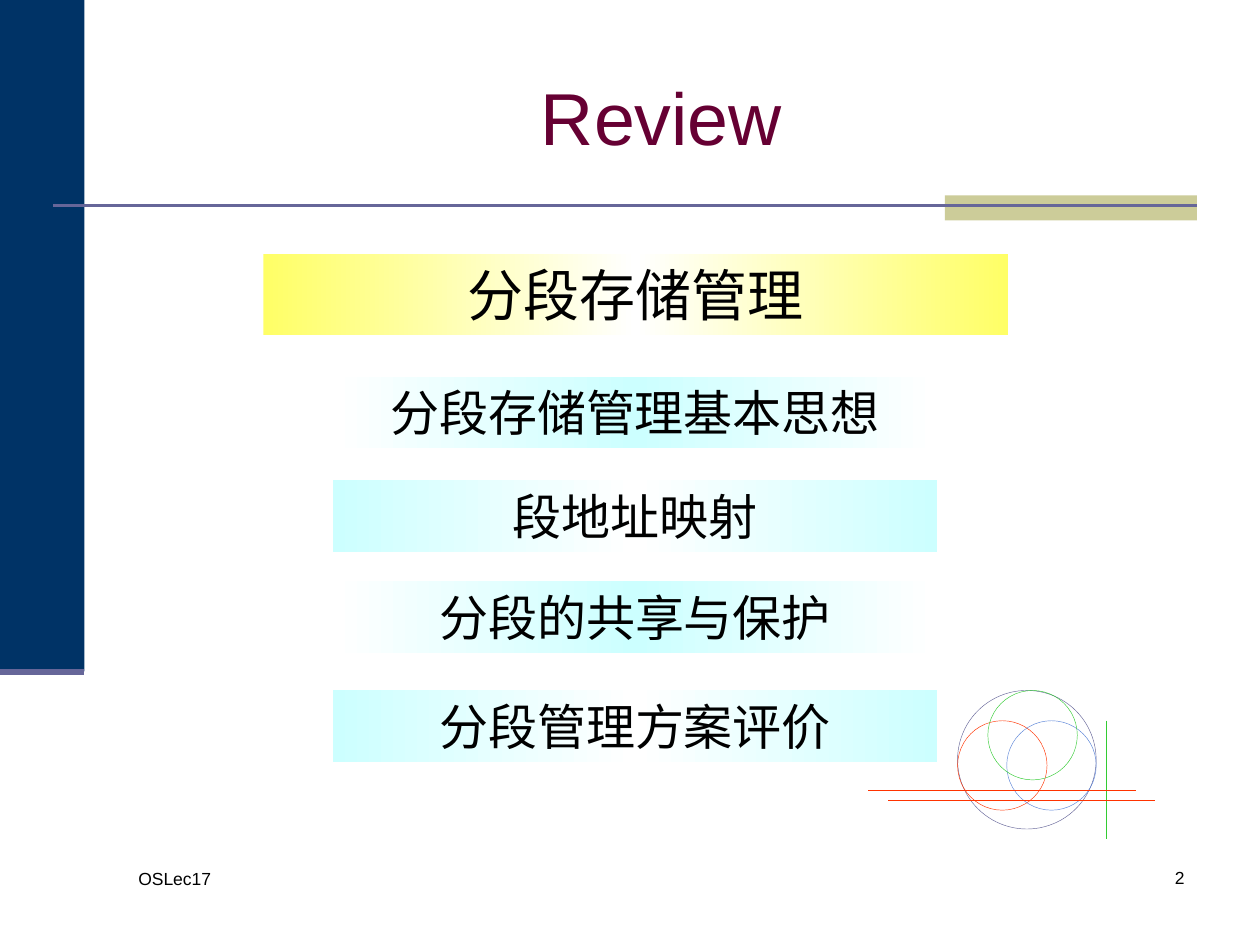
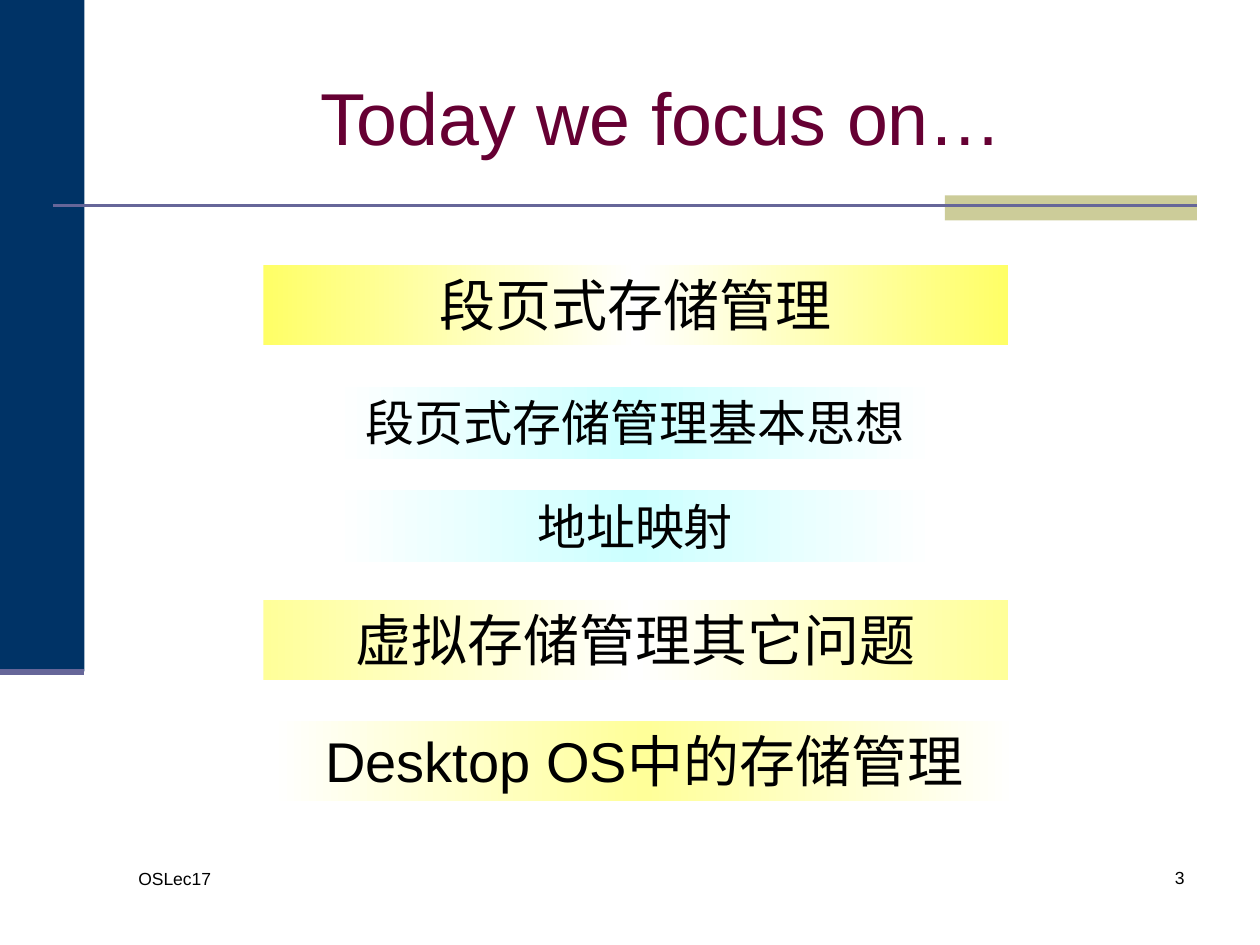
from copy import deepcopy

from pptx import Presentation
from pptx.dml.color import RGBColor
from pptx.enum.dml import MSO_LINE
from pptx.enum.shapes import MSO_CONNECTOR, MSO_SHAPE
from pptx.enum.text import MSO_ANCHOR, MSO_AUTO_SIZE, PP_ALIGN
from pptx.oxml.ns import qn
from pptx.oxml.xmlchemy import OxmlElement
from pptx.util import Inches, Pt

RECT, ELLIPSE = MSO_SHAPE.RECTANGLE, MSO_SHAPE.OVAL
STRAIGHT, DOTTED = MSO_CONNECTOR.STRAIGHT, MSO_LINE.ROUND_DOT
TOP, MIDDLE = MSO_ANCHOR.TOP, MSO_ANCHOR.MIDDLE
LEFT, CENTER, RIGHT = PP_ALIGN.LEFT, PP_ALIGN.CENTER, PP_ALIGN.RIGHT
GROW = MSO_AUTO_SIZE.SHAPE_TO_FIT_TEXT

FONT = "Arial"
COLORS = {
    "white": "FFFFFF", "text": "000000", "title": "660033",
    "navy": "003366", "khaki": "CCCC99", "rule": "666699",
    "green": "33CC33", "red": "FF3300", "blue": "5A84D8",
    "yellow": "FFFF66", "pale yellow": "FFFF99", "cyan": "CCFFFF",
}
TOPIC = {"left": 2.09, "width": 5.91, "height": 0.64, "size": 32, "before": 20}
SUBTOPIC = {"left": 2.64, "width": 4.8, "height": 0.57, "size": 28, "before": 17.5}
SHIFTED_TOPIC = {**TOPIC, "left": 2.16}
FLAT_SUBTOPIC = {**SUBTOPIC, "before": 0}

# Each banner: text, top, style, edge colour, centre colour
PAGES = [
    ("Review", [
        ("分段存储管理", 2.02, TOPIC, "yellow", "white"),
        ("分段存储管理基本思想", 2.99, SUBTOPIC, "white", "cyan"),
        ("段地址映射", 3.81, SUBTOPIC, "cyan", "white"),
        ("分段的共享与保护", 4.61, FLAT_SUBTOPIC, "white", "cyan"),
        ("分段管理方案评价", 5.48, SUBTOPIC, "cyan", "white"),
    ]),
    ("Today we focus on…", [
        ("段页式存储管理", 2.1, TOPIC, "yellow", "white"),
        ("段页式存储管理基本思想", 3.07, SUBTOPIC, "white", "cyan"),
        ("地址映射", 3.89, SUBTOPIC, "white", "cyan"),
        ("虚拟存储管理其它问题", 4.76, TOPIC, "pale yellow", "white"),
        ("Desktop OS中的存储管理", 5.72, SHIFTED_TOPIC, "white", "pale yellow"),
    ]),
]


def rgb(name):
    return RGBColor.from_string(COLORS[name])


def add_plain_shape(page, kind, box, fill=None, line=None):
    shape = page.shapes.add_shape(kind, *map(Inches, box))
    shape.shadow.inherit = False
    if fill:
        shape.fill.solid()
        shape.fill.fore_color.rgb = rgb(fill)
    else:
        shape.fill.background()
    if line:
        shape.line.color.rgb = rgb(line)
        shape.line.width = Pt(0.25)
    else:
        shape.line.fill.background()
    return shape


def add_rule(page, start, end, color, width, dash=None):
    rule = page.shapes.add_connector(STRAIGHT, *map(Inches, start + end))
    for name, value in {"width": Pt(width), "dash_style": dash}.items():
        setattr(rule.line, name, value)
    rule.line.color.rgb = rgb(color)
    rule.element.spPr.append(OxmlElement("a:effectLst"))


def write_text(shape, text, size, color="text", align=LEFT, anchor=TOP, before=0):
    frame = shape.text_frame
    frame.word_wrap = True
    frame.vertical_anchor = anchor
    para = frame.paragraphs[0]
    para.alignment = align
    para.space_before = Pt(before)
    span = para.add_run()
    span.text = text
    for name, value in {"name": FONT, "size": Pt(size)}.items():
        setattr(span.font, name, value)
    span.font.color.rgb = rgb(color)


def add_label(page, box, text, size, **style):
    write_text(page.shapes.add_textbox(*map(Inches, box)), text, size, **style)


def fill_mirrored(shape, edge, centre):
    """Fill from the edge colour to the centre colour and back, left to right."""
    shape.fill.gradient()
    shape.fill.gradient_angle = 0
    stop_list = shape.element.spPr.find(qn("a:gradFill")).find(qn("a:gsLst"))
    stop_list.append(deepcopy(stop_list[-1]))
    for index, (stop, color) in enumerate(zip(shape.fill.gradient_stops, (edge, centre, edge))):
        stop.position = index / 2
        stop.color.rgb = rgb(color)


def add_banner(page, text, top, style, edge, centre):
    box = (style["left"], top, style["width"], style["height"])
    banner = add_plain_shape(page, RECT, box)
    fill_mirrored(banner, edge, centre)
    write_text(banner, text, style["size"], align=CENTER, before=style["before"])
    banner.text_frame.auto_size = GROW


def add_page_frame(page, title, number):
    """Side band, title with its rule, and footer."""
    add_plain_shape(page, RECT, (0, 0, 0.67, 5.33), fill="navy")
    add_plain_shape(page, RECT, (7.5, 1.55, 2, 0.2), fill="khaki")
    add_rule(page, (0.42, 1.63), (9.5, 1.63), "rule", 1.5)
    add_rule(page, (0, 5.33), (0.67, 5.33), "rule", 3.5)
    add_label(page, (1, 6.84, 2.17, 0.5), "OSLec17", 10)
    add_label(page, (7.42, 6.83, 2.08, 0.5), str(number), 10, align=RIGHT)
    add_label(page, (1, 0.3, 8.5, 1.25), title, 42,
              color="title", align=CENTER, anchor=MIDDLE)


def add_circle_ornament(page, left, top):
    """Three circles inside a larger one, crossed by thin lines."""
    add_rule(page, (left + 1.89, top + 0.24), (left + 1.89, top + 1.18), "green", 0.25)
    for x, y, diameter, color in [
        (0.71, 0, 1.1, "rule"),
        (0.71, 0.24, 0.71, "red"),
        (1.1, 0.24, 0.71, "blue"),
        (0.95, 0, 0.71, "green"),
    ]:
        add_plain_shape(page, ELLIPSE, (left + x, top + y, diameter, diameter), line=color)
    for x, y, dash in [(0, 0.79, DOTTED), (0.16, 0.87, None)]:
        add_rule(page, (left + x, top + y), (left + x + 2.12, top + y), "red", 0.25, dash)


def main():
    deck = Presentation()
    deck.slide_width, deck.slide_height = Inches(10), Inches(7.5)
    for number, (title, banners) in enumerate(PAGES, start=2):
        page = deck.slides.add_slide(deck.slide_layouts[6])
        add_page_frame(page, title, number)
        if title == "Review":
            add_circle_ornament(page, 6.89, 5.48)
        for banner in banners:
            add_banner(page, *banner)
    deck.save("out.pptx")


if __name__ == "__main__":
    main()
